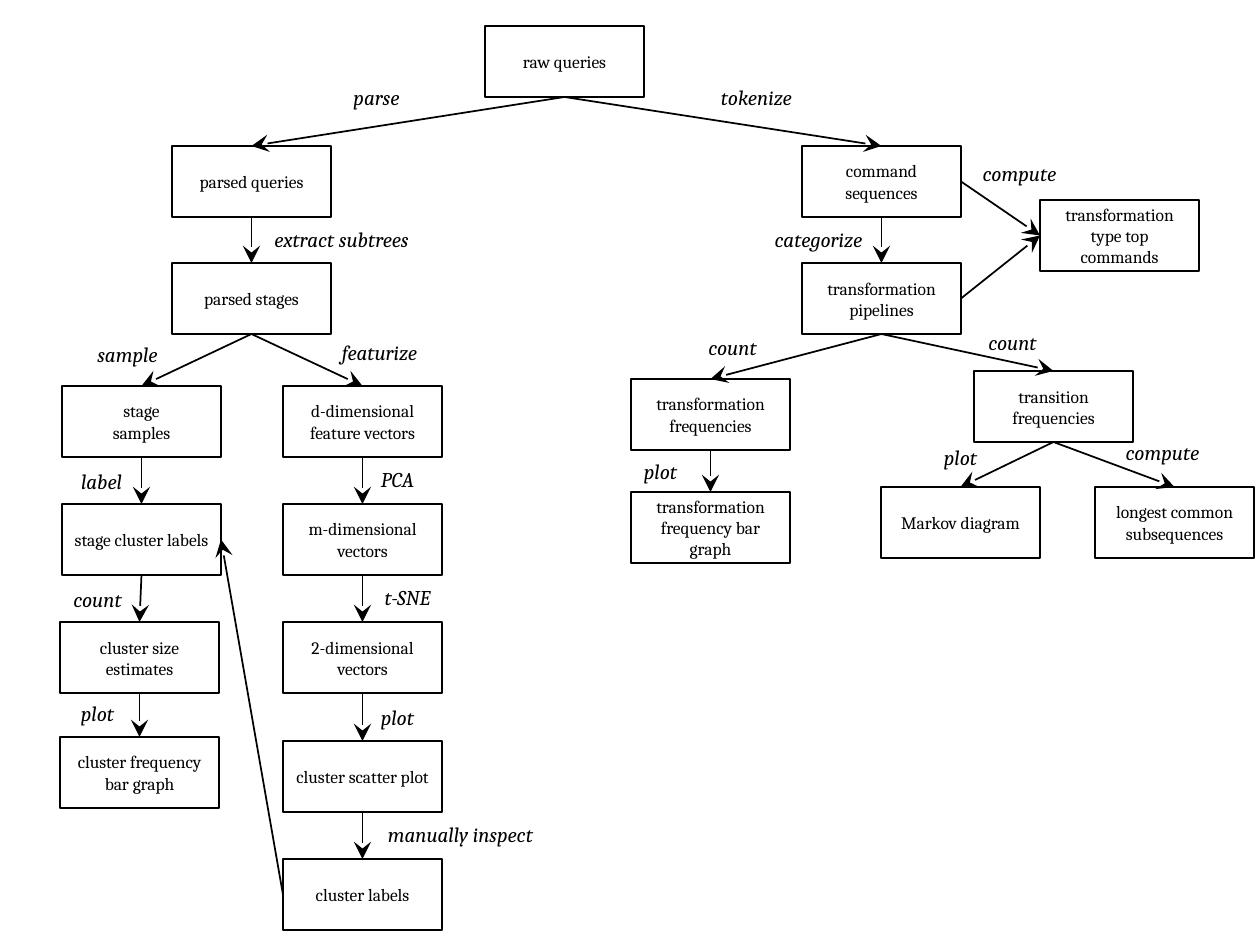
"""Build a flow chart of how raw queries are analysed."""
import lxml.etree
import pptx
import pptx.dml.color
import pptx.enum.shapes
import pptx.enum.text
import pptx.oxml.ns
import pptx.util

SCALE = 914400 / 126
INK = pptx.dml.color.RGBColor(0, 0, 0)
THEME = {
    "ink": INK,
    "line": pptx.util.Pt(1),
    "box": {"name": "Cambria", "size": pptx.util.Pt(10), "italic": False},
    "label": {"name": "Cambria", "size": pptx.util.Pt(12), "italic": True},
}
WIDE, HIGH = 159, 71
TOP, LEFT, BOTTOM, RIGHT = range(4)
DOWN, ACROSS, BACK = (BOTTOM, TOP), (RIGHT, LEFT), (LEFT, RIGHT)

NODES = {
    "raw": ("raw queries", 485, 26),
    "commands": ("command sequences", 802, 146),
    "pipes": ("transformation pipelines", 802, 263),
    "parsed": ("parsed queries", 172, 146),
    "stages": ("parsed stages", 172, 263),
    "d-dim": ("d-dimensional feature vectors", 283, 386),
    "m-dim": ("m-dimensional vectors", 283, 504),
    "2-dim": ("2-dimensional vectors", 283, 622),
    "scatter": ("cluster scatter plot", 283, 741),
    "clusters": ("cluster labels", 283, 859),
    "samples": ("stage\nsamples", 62, 386),
    "labels": ("stage cluster labels", 62, 504),
    "sizes": ("cluster size estimates", 60, 622),
    "bars": ("cluster frequency bar graph", 60, 737),
    "changes": ("transformation frequencies", 631, 379),
    "graph": ("transformation frequency bar graph", 631, 492),
    "moves": ("transition frequencies", 974, 371),
    "markov": ("Markov diagram", 881, 487),
    "longest": ("longest common subsequences", 1095, 487),
    "types": ("transformation type top commands", 1040, 200),
}

# from, to, sides, label, label left, label top
EDGES = [
    ("raw", "parsed", DOWN, "parse", 284, 78),
    ("raw", "commands", DOWN, "tokenize", 664, 78),
    ("parsed", "stages", DOWN, "extract subtrees", 249, 220),
    ("stages", "d-dim", DOWN, "featurize", 287, 333),
    ("stages", "samples", DOWN, "sample", 35, 335),
    ("d-dim", "m-dim", DOWN, "PCA", 305, 460),
    ("m-dim", "2-dim", DOWN, "t-SNE", 315, 578),
    ("2-dim", "scatter", DOWN, "plot", 305, 698),
    ("scatter", "clusters", DOWN, "manually inspect", 368, 815),
    ("samples", "labels", DOWN, "label", 9, 462),
    ("labels", "sizes", DOWN, "count", 5, 580),
    ("sizes", "bars", DOWN, "plot", 5, 694),
    ("clusters", "labels", BACK, "", 0, 0),
    ("commands", "pipes", DOWN, "categorize", 726, 220),
    ("commands", "types", ACROSS, "compute", 927, 154),
    ("pipes", "types", ACROSS, "", 0, 0),
    ("pipes", "moves", DOWN, "count", 920, 323),
    ("pipes", "changes", DOWN, "count", 640, 328),
    ("changes", "graph", DOWN, "plot", 568, 452),
    ("moves", "markov", DOWN, "plot", 868, 438),
    ("moves", "longest", DOWN, "compute", 1070, 433),
]


def px(*sizes):
    return [round(size * SCALE) for size in sizes]


def write(frame, text, style):
    frame.text = text
    frame.word_wrap = True
    for para in frame.paragraphs:
        para.alignment = pptx.enum.text.PP_ALIGN.CENTER
        for run in para.runs:
            run.font.color.rgb = THEME["ink"]
            for key, value in THEME[style].items():
                setattr(run.font, key, value)


deck = pptx.Presentation()
deck.slide_width, deck.slide_height = px(1260, 945)
slide = deck.slides.add_slide(deck.slide_layouts[6])

boxes = {}
for name, (text, left, top) in NODES.items():
    box = slide.shapes.add_shape(
        pptx.enum.shapes.MSO_SHAPE.RECTANGLE, *px(left, top, WIDE, HIGH))
    box.shadow.inherit = False
    box.fill.background()
    box.line.color.rgb = THEME["ink"]
    box.line.width = THEME["line"]
    frame = box.text_frame
    frame.vertical_anchor = pptx.enum.text.MSO_ANCHOR.MIDDLE
    frame.margin_left, frame.margin_right = px(11, 11)
    write(frame, text, "box")
    boxes[name] = box

for start, end, sides, text, left, top in EDGES:
    link = slide.shapes.add_connector(
        pptx.enum.shapes.MSO_CONNECTOR.STRAIGHT, 0, 0, 0, 0)
    link.begin_connect(boxes[start], sides[0])
    link.end_connect(boxes[end], sides[1])
    link.line.color.rgb = THEME["ink"]
    link.line.width = THEME["line"]
    lxml.etree.SubElement(
        link.line._get_or_add_ln(), pptx.oxml.ns.qn("a:tailEnd"),
        type="stealth", w="lg", len="lg")
    lxml.etree.SubElement(
        link._element.spPr, pptx.oxml.ns.qn("a:effectLst"))
    if text:
        label = slide.shapes.add_textbox(*px(left, top, 185, 38))
        write(label.text_frame, text, "label")
        label.text_frame.auto_size = (
            pptx.enum.text.MSO_AUTO_SIZE.SHAPE_TO_FIT_TEXT)

deck.save("out.pptx")
